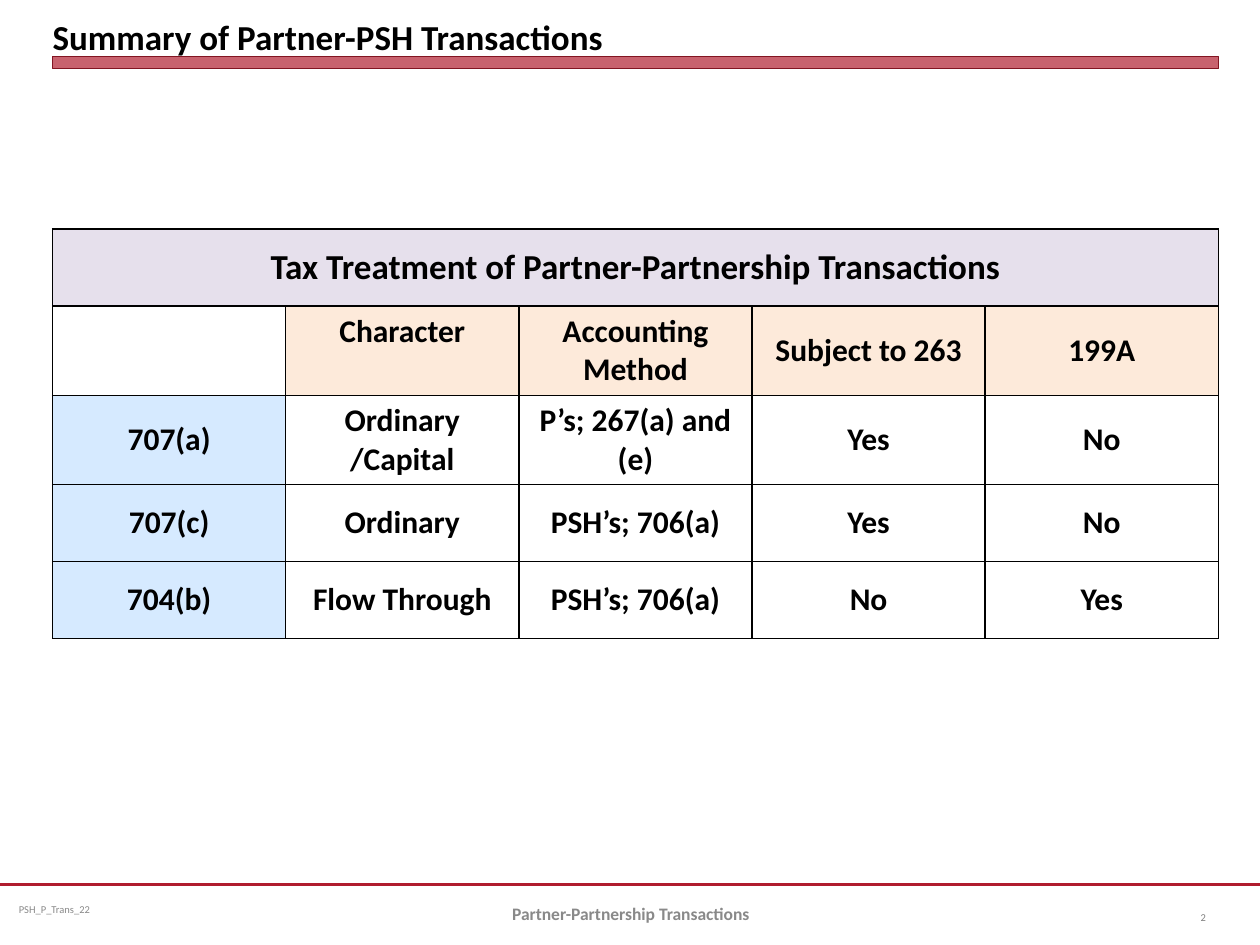
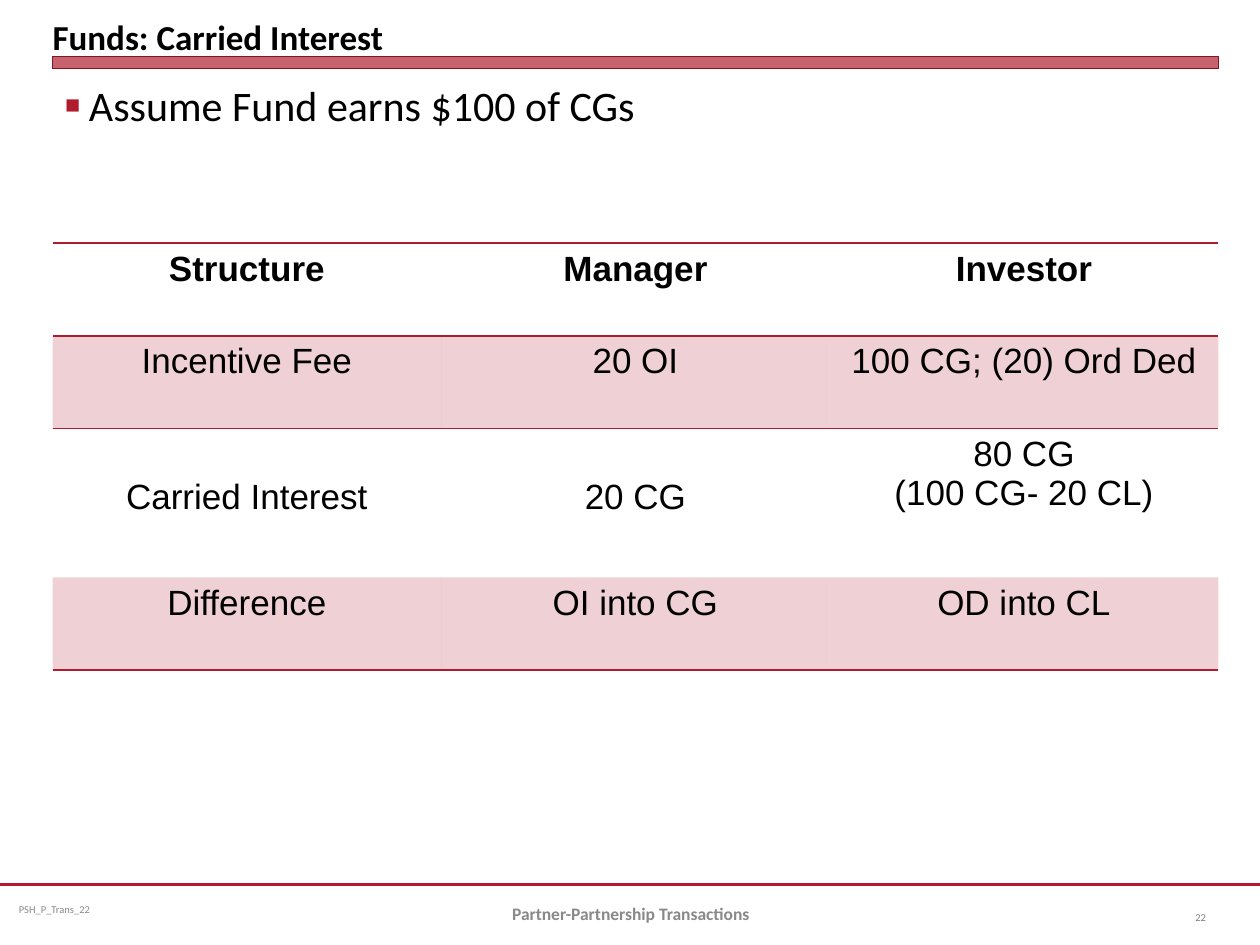
import dataclasses
import typing

import lxml.etree
import pptx
import pptx.dml.color
import pptx.enum.dml
import pptx.enum.shapes
import pptx.enum.text
import pptx.oxml.ns
import pptx.util

Cm = pptx.util.Cm
Pt = pptx.util.Pt
RGBColor = pptx.dml.color.RGBColor
Align = pptx.enum.text.PP_ALIGN
Anchor = pptx.enum.text.MSO_ANCHOR
qn = pptx.oxml.ns.qn

CRIMSON = RGBColor(0xB0, 0x1C, 0x2E)
DARK_CRIMSON = RGBColor(0x82, 0x15, 0x22)
BLACK = RGBColor(0x00, 0x00, 0x00)
FOOTER_GRAY = RGBColor(0x89, 0x89, 0x89)
NUMBER_GRAY = RGBColor(0x80, 0x80, 0x80)
LAVENDER = RGBColor(0xE6, 0xE0, 0xEC)
PEACH = RGBColor(0xFD, 0xEA, 0xDA)
SKY = RGBColor(0xD6, 0xEA, 0xFF)

LEFT = Cm(1.06)
CONTENT_WIDTH = Cm(23.5)
FOOTER_LINE_TOP = Cm(17.83)
TITLE_LAYOUT = 5
LIST_LAYOUT = 1
PLAIN_TABLE_STYLE = "{2D5ABB26-0587-4C30-8999-92F81FD0307C}"


@dataclasses.dataclass(frozen=True)
class TextStyle:
    size: float
    color: RGBColor = BLACK
    bold: bool = False
    name: str = "Calibri"
    align: Align = Align.LEFT


@dataclasses.dataclass(frozen=True)
class FooterText:
    left: float
    top: float
    width: float
    style: TextStyle
    side_margin: float = 0.25
    edge_margin: float = 0.13


@dataclasses.dataclass(frozen=True)
class CellLook:
    style: TextStyle
    fill: typing.Optional[RGBColor] = None
    opacity: int = 100
    borders: str = ""
    border_color: RGBColor = BLACK
    anchor: Anchor = Anchor.MIDDLE
    top_margin: float = 0.13


TITLE_STYLE = TextStyle(20, bold=True)
BULLET_STYLE = TextStyle(24, align=Align.JUSTIFY)
CODE_FOOTER = FooterText(0.2, 17.83, 6.55, TextStyle(6, FOOTER_GRAY), 0.18, 0.1)
TOPIC_FOOTER = FooterText(8.69, 17.91, 8.05, TextStyle(10, FOOTER_GRAY, True, align=Align.CENTER))
NUMBER_FOOTER = FooterText(23.29, 17.98, 1.27, TextStyle(6, NUMBER_GRAY, align=Align.RIGHT))

TAX_ROWS = [
    ["Tax Treatment of Partner-Partnership Transactions", "", "", "", ""],
    ["", "Character", "Accounting Method", "Subject to 263", "199A"],
    ["707(a)", "Ordinary /Capital", "P’s; 267(a) and (e)", "Yes", "No"],
    ["707(c)", "Ordinary", "PSH’s; 706(a)", "Yes", "No"],
    ["704(b)", "Flow Through", "PSH’s; 706(a)", "No", "Yes"],
]
FUND_ROWS = [
    ["Structure", "Manager", "Investor"],
    ["Incentive Fee", "20 OI", "100 CG; (20) Ord Ded"],
    ["Carried Interest", "20 CG", "80 CG\n(100 CG- 20 CL)"],
    ["Difference", "OI into CG", "OD into CL"],
]


def format_text(frame, style: TextStyle) -> None:
    for para in frame.paragraphs:
        para.alignment = style.align
        for span in para.runs:
            span.font.name = style.name
            span.font.size = Pt(style.size)
            span.font.bold = style.bold
            span.font.color.rgb = style.color


def set_opacity(properties, percent: int) -> None:
    color = properties.find(f"{qn('a:solidFill')}/{qn('a:srgbClr')}")
    lxml.etree.SubElement(color, qn("a:alpha"), val=str(percent * 1000))


def place(shape, top, height) -> None:
    shape.left, shape.top, shape.width, shape.height = LEFT, top, CONTENT_WIDTH, height


def add_footer_text(page, footer: FooterText, text: str) -> None:
    box = page.shapes.add_textbox(Cm(footer.left), Cm(footer.top), Cm(footer.width), Cm(1.02))
    frame = box.text_frame
    frame.word_wrap = True
    frame.vertical_anchor = Anchor.MIDDLE
    frame.margin_left = frame.margin_right = Cm(footer.side_margin)
    frame.margin_top = frame.margin_bottom = Cm(footer.edge_margin)
    frame.text = text
    format_text(frame, footer.style)


def add_page(deck, layout: int, title: str, number: int):
    page = deck.slides.add_slide(deck.slide_layouts[layout])
    line = page.shapes.add_connector(
        pptx.enum.shapes.MSO_CONNECTOR.STRAIGHT, 0, FOOTER_LINE_TOP, deck.slide_width, FOOTER_LINE_TOP
    )
    line.line.color.rgb = CRIMSON
    line.line.width = Pt(1.25)
    lxml.etree.SubElement(line._element.spPr, qn("a:effectLst"))

    band = page.shapes.add_shape(
        pptx.enum.shapes.MSO_SHAPE.RECTANGLE, LEFT, Cm(1.14), CONTENT_WIDTH, Cm(0.25)
    )
    band.shadow.inherit = False
    band.fill.solid()
    band.fill.fore_color.rgb = CRIMSON
    set_opacity(band._element.spPr, 69)
    band.line.color.rgb = DARK_CRIMSON
    band.line.width = Pt(0)

    heading = page.shapes.title
    place(heading, Cm(0.13), Cm(1.02))
    frame = heading.text_frame
    frame.auto_size = pptx.enum.text.MSO_AUTO_SIZE.NONE
    frame.vertical_anchor = Anchor.BOTTOM
    frame.margin_left = frame.margin_right = frame.margin_top = frame.margin_bottom = 0
    frame.text = title
    format_text(frame, TITLE_STYLE)

    add_footer_text(page, CODE_FOOTER, "PSH_P_Trans_22")
    add_footer_text(page, TOPIC_FOOTER, "Partner-Partnership Transactions")
    add_footer_text(page, NUMBER_FOOTER, str(number))
    return page


def fill_bullet(body, text: str) -> None:
    place(body, Cm(1.47), Cm(16.15))
    frame = body.text_frame
    frame.auto_size = pptx.enum.text.MSO_AUTO_SIZE.NONE
    frame.text = text
    para = frame.paragraphs[0]
    properties = para._p.get_or_add_pPr()
    properties.set("marL", str(Cm(0.48)))
    properties.set("indent", str(-Cm(0.48)))
    bullet_color = lxml.etree.SubElement(properties, qn("a:buClr"))
    lxml.etree.SubElement(bullet_color, qn("a:srgbClr"), val=str(CRIMSON))
    lxml.etree.SubElement(properties, qn("a:buSzPct"), val="60000")
    lxml.etree.SubElement(properties, qn("a:buFont"), typeface="Arial")
    lxml.etree.SubElement(properties, qn("a:buChar"), char="■")
    para.space_before = Pt(0)
    format_text(frame, BULLET_STYLE)


def format_cell(cell, text: str, look: CellLook) -> None:
    properties = cell._tc.get_or_add_tcPr()
    for side in look.borders:
        border = lxml.etree.SubElement(properties, qn(f"a:ln{side}"), w=str(Pt(1)))
        paint = lxml.etree.SubElement(border, qn("a:solidFill"))
        lxml.etree.SubElement(paint, qn("a:srgbClr"), val=str(look.border_color))
    if look.fill is None:
        cell.fill.background()
    else:
        cell.fill.solid()
        cell.fill.fore_color.rgb = look.fill
        if look.opacity < 100:
            set_opacity(properties, look.opacity)
    cell.vertical_anchor = look.anchor
    cell.margin_top = Cm(look.top_margin)
    cell.text = text
    format_text(cell.text_frame, look.style)


def add_grid(
    page,
    top: float,
    heights: typing.List[float],
    rows: typing.List[typing.List[str]],
    look_at: typing.Callable[[int, int], CellLook],
):
    column_count = len(rows[0])
    frame = page.shapes.add_table(
        len(rows), column_count, LEFT, Cm(top), CONTENT_WIDTH, Cm(sum(heights))
    )
    table = frame.table
    table.first_row = table.horz_banding = False
    table._tbl.tblPr.find(qn("a:tableStyleId")).text = PLAIN_TABLE_STYLE
    for row, height in zip(table.rows, heights):
        row.height = Cm(height)
    for row_index, texts in enumerate(rows):
        for column_index, text in enumerate(texts):
            look = look_at(row_index, column_index)
            format_cell(table.cell(row_index, column_index), text, look)
    return table


def tax_look(row: int, column: int) -> CellLook:
    fill = None
    if row == 0:
        fill = LAVENDER
    elif row == 1 and column > 0:
        fill = PEACH
    elif column == 0 and row > 1:
        fill = SKY
    style = TextStyle(20 if row == 0 else 18, bold=True, align=Align.CENTER)
    anchor = Anchor.TOP if row == 1 and column < 3 else Anchor.MIDDLE
    return CellLook(style, fill, borders="LRTB", anchor=anchor)


def fund_look(row: int, column: int) -> CellLook:
    return CellLook(
        TextStyle(20, bold=row == 0, name="Arial", align=Align.CENTER),
        fill=CRIMSON if row % 2 else None,
        opacity=20,
        borders={0: "TB", 1: "T", 3: "B"}.get(row, ""),
        border_color=CRIMSON,
        anchor=Anchor.TOP,
        top_margin=1 if row == 2 and column < 2 else 0.13,
    )


def main() -> None:
    deck = pptx.Presentation()
    deck.slide_width, deck.slide_height = Cm(25.4), Cm(19.05)

    summary = add_page(deck, TITLE_LAYOUT, "Summary of Partner-PSH Transactions", 2)
    tax_table = add_grid(summary, 4.62, [1.55, 1.8, 1.8, 1.55, 1.55], TAX_ROWS, tax_look)
    tax_table.cell(0, 0).merge(tax_table.cell(0, 4))

    funds = add_page(deck, LIST_LAYOUT, "Funds: Carried Interest", 22)
    fill_bullet(funds.placeholders[1], "Assume Fund earns $100 of CGs")
    add_grid(funds, 4.9, [1.87, 1.87, 3, 1.87], FUND_ROWS, fund_look)

    deck.save("out.pptx")


if __name__ == "__main__":
    main()
